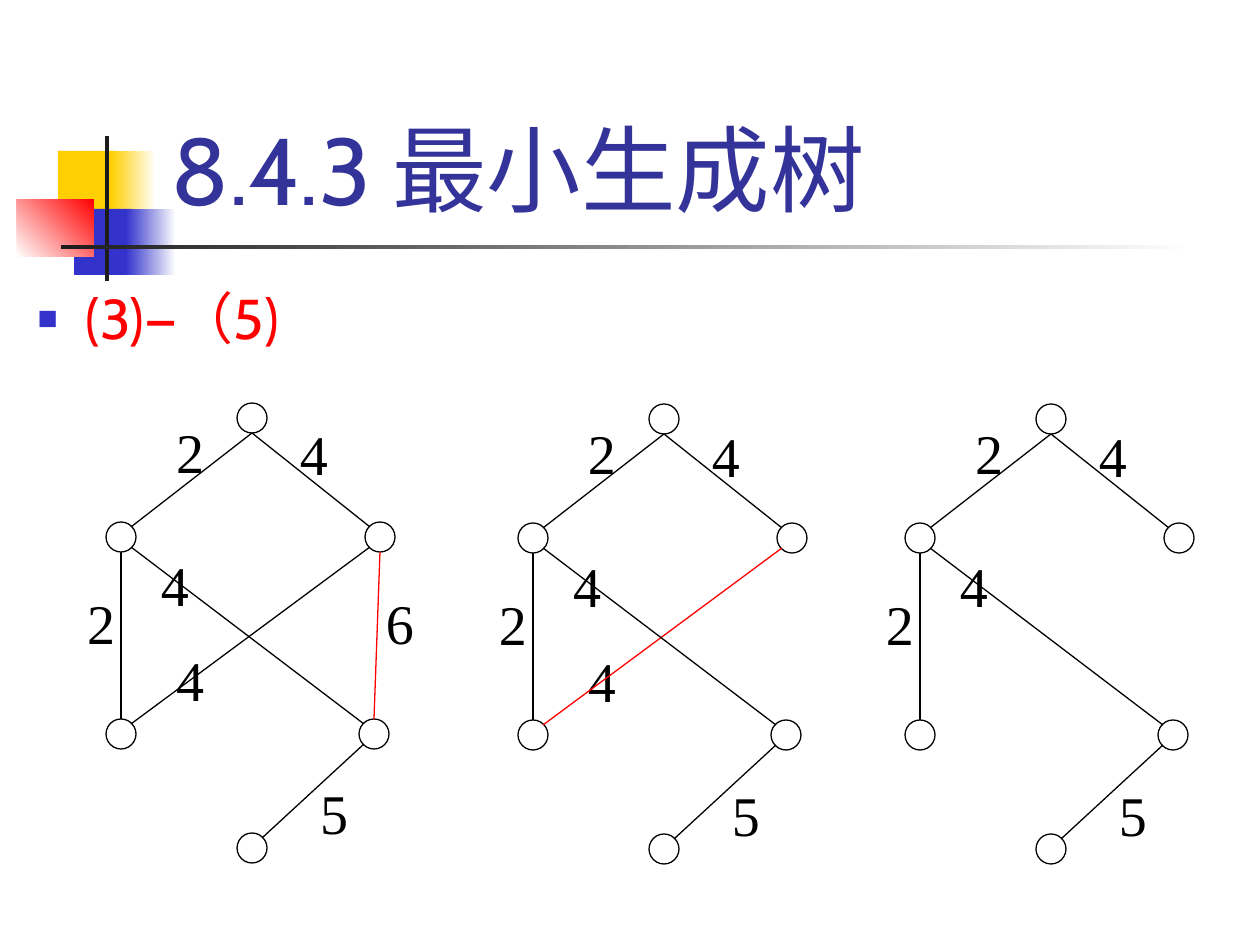
from lxml.etree import SubElement
from pptx import Presentation
from pptx.dml.color import RGBColor
from pptx.enum.shapes import MSO_CONNECTOR, MSO_SHAPE
from pptx.enum.text import MSO_ANCHOR, MSO_AUTO_SIZE, PP_ALIGN
from pptx.oxml.ns import qn
from pptx.util import Pt

PX = 914400 / 126
WHITE = RGBColor(0xFF, 0xFF, 0xFF)
BLACK = RGBColor(0, 0, 0)
RED = RGBColor(0xFF, 0, 0)
GOLD = RGBColor(0xFF, 0xCF, 0x01)
BLUE = RGBColor(0x33, 0x33, 0xCC)
NAVY = RGBColor(0x33, 0x33, 0x99)
DARK = RGBColor(0x1C, 0x1C, 0x1C)

TITLE = "8.4.3 最小生成树"
ITEM = "(3)—（5)"

# box, first colour, second colour (None if solid), angle
DECOR = [
    ((58, 151, 60, 66), GOLD, None, 0),
    ((111, 151, 45, 66), GOLD, WHITE, 0),
    ((74, 209, 58, 66), BLUE, None, 0),
    ((126, 209, 50, 66), BLUE, WHITE, 0),
    ((17, 199, 77, 58), WHITE, RED, 45),
    ((105, 136, 4, 145), DARK, None, 0),
    ((61, 245, 1134, 4), DARK, WHITE, 0),
]

# centres of the nodes in the first graph
NODES = {
    "left": (121, 537), "low left": (121, 734), "right": (380, 537),
    "low right": (374, 734), "foot": (252, 848), "top": (252, 418),
}
# edge: start node, side, end node, side, weight, left, top and width of label
EDGES = {
    "right": ("right", "S", "low right", "N", "6", 372, 581, 97),
    "foot": ("low right", "SW", "foot", "NE", "5", 306, 771, 92),
    "left": ("left", "S", "low left", "N", "2", 73, 581, 93),
    "top left": ("top", "S", "left", "NE", "2", 162, 410, 94),
    "top right": ("top", "S", "right", "NW", "4", 286, 412, 89),
    "rising": ("right", "SW", "low left", "NE", "4", 162, 638, 94),
    "falling": ("left", "SE", "low right", "NW", "4", 147, 543, 82),
}
SIDES = {"N": (0, -15), "S": (0, 15), "NE": (10, -10), "NW": (-10, -10),
         "SE": (10, 10), "SW": (-10, 10)}
SIZE = 30
TALL = 107
# shift, edges already dropped, edge to drop next
GRAPHS = [
    ((0, 0), [], "right"),
    ((412, 1), ["right"], "rising"),
    ((799, 1), ["right", "rising"], None),
]


def emu(*nums):
    return [round(n * PX) for n in nums]


def add_box(slide, kind, box, fill, line=None):
    shape = slide.shapes.add_shape(kind, *emu(*box))
    shape.shadow.inherit = False
    shape.fill.solid()
    shape.fill.fore_color.rgb = fill
    if line is None:
        shape.line.fill.background()
    else:
        shape.line.color.rgb = line
        shape.line.width = Pt(0.75)
    return shape


def add_decor(slide):
    for box, first, last, angle in DECOR:
        shape = add_box(slide, MSO_SHAPE.RECTANGLE, box, first)
        if last is not None:
            shape.fill.gradient()
            shape.fill.gradient_angle = angle
            for stop, tint in zip(shape.fill.gradient_stops, (first, last)):
                stop.color.rgb = tint


def style(para, name, size, color):
    para.alignment = PP_ALIGN.LEFT
    para.font.name = name
    para.font.size = Pt(size)
    para.font.color.rgb = color


def fill_holder(slide, holder, box, text, size, color, anchor):
    """Place a placeholder in front of the decoration and write its text."""
    slide.shapes._spTree.append(holder._element)
    holder.left, holder.top, holder.width, holder.height = emu(*box)
    frame = holder.text_frame
    frame.text = text
    frame.auto_size = MSO_AUTO_SIZE.NONE
    frame.vertical_anchor = anchor
    para = frame.paragraphs[0]
    style(para, "Cabin", size, color)
    return para


def add_bullet(para):
    props = para._p.get_or_add_pPr()
    indent = emu(48)[0]
    props.set("marL", str(indent))
    props.set("indent", str(-indent))
    tint = SubElement(props, qn("a:buClr"))
    SubElement(tint, qn("a:srgbClr"), val=str(BLUE))
    SubElement(props, qn("a:buSzPct"), val="60000")
    SubElement(props, qn("a:buChar"), char="■")


def add_label(slide, text, box):
    shape = add_box(slide, MSO_SHAPE.RECTANGLE, box, WHITE, WHITE)
    frame = shape.text_frame
    frame.word_wrap = True
    frame.vertical_anchor = MSO_ANCHOR.TOP
    frame.margin_left, frame.margin_top = emu(14, 8)
    frame.margin_right, frame.margin_bottom = emu(14, 8)
    frame.text = text
    style(frame.paragraphs[0], "Times New Roman", 32, BLACK)


def add_edge(slide, start, end, color):
    line = slide.shapes.add_connector(
        MSO_CONNECTOR.STRAIGHT, *emu(*start, *end))
    line.line.color.rgb = color
    line.line.width = Pt(0.75)
    SubElement(line._element.spPr, qn("a:effectLst"))


def add_graph(slide, shift, gone, cut):
    dx, dy = shift
    edges = {key: edge for key, edge in EDGES.items() if key not in gone}

    def port(node, side):
        x, y = NODES[node]
        sx, sy = SIDES[side]
        return x + sx + dx, y + sy + dy

    for *_, text, x, y, width in edges.values():
        add_label(slide, text, (x + dx, y + dy, width, TALL))
    for x, y in NODES.values():
        box = (x + dx - SIZE / 2, y + dy - SIZE / 2, SIZE, SIZE)
        add_box(slide, MSO_SHAPE.OVAL, box, WHITE, BLACK)
    for key, (a, out, b, into, *_) in edges.items():
        add_edge(slide, port(a, out), port(b, into),
                 RED if key == cut else BLACK)


def main():
    deck = Presentation()
    deck.slide_width, deck.slide_height = emu(1260, 945)
    slide = deck.slides.add_slide(deck.slide_layouts[1])
    add_decor(slide)
    fill_holder(slide, slide.shapes.title, (159, 29, 1074, 202),
                TITLE, 54, NAVY, MSO_ANCHOR.BOTTOM)
    item = fill_holder(slide, slide.placeholders[1], (25, 244, 1235, 701),
                       ITEM, 32, RED, MSO_ANCHOR.TOP)
    item.line_spacing = 1.5
    item.space_before = Pt(8)
    add_bullet(item)
    for graph in GRAPHS:
        add_graph(slide, *graph)
    deck.save("out.pptx")


if __name__ == "__main__":
    main()
